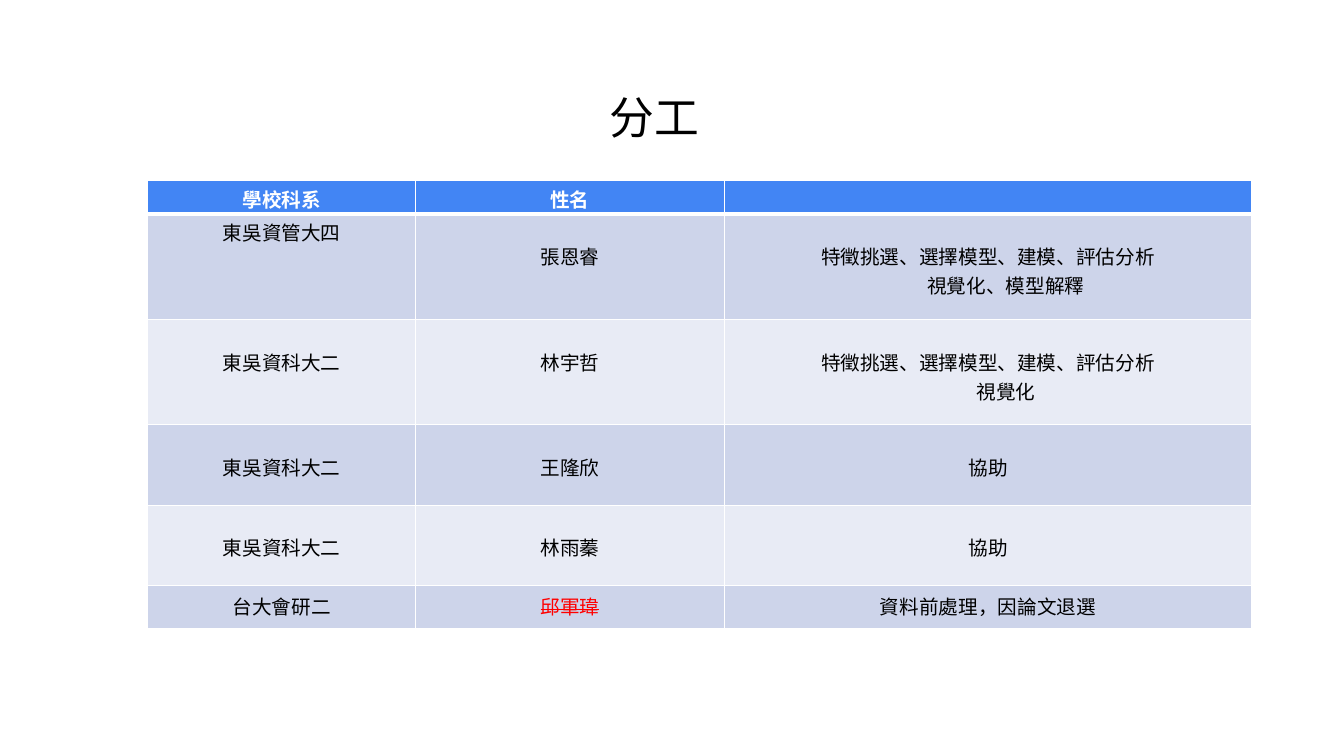
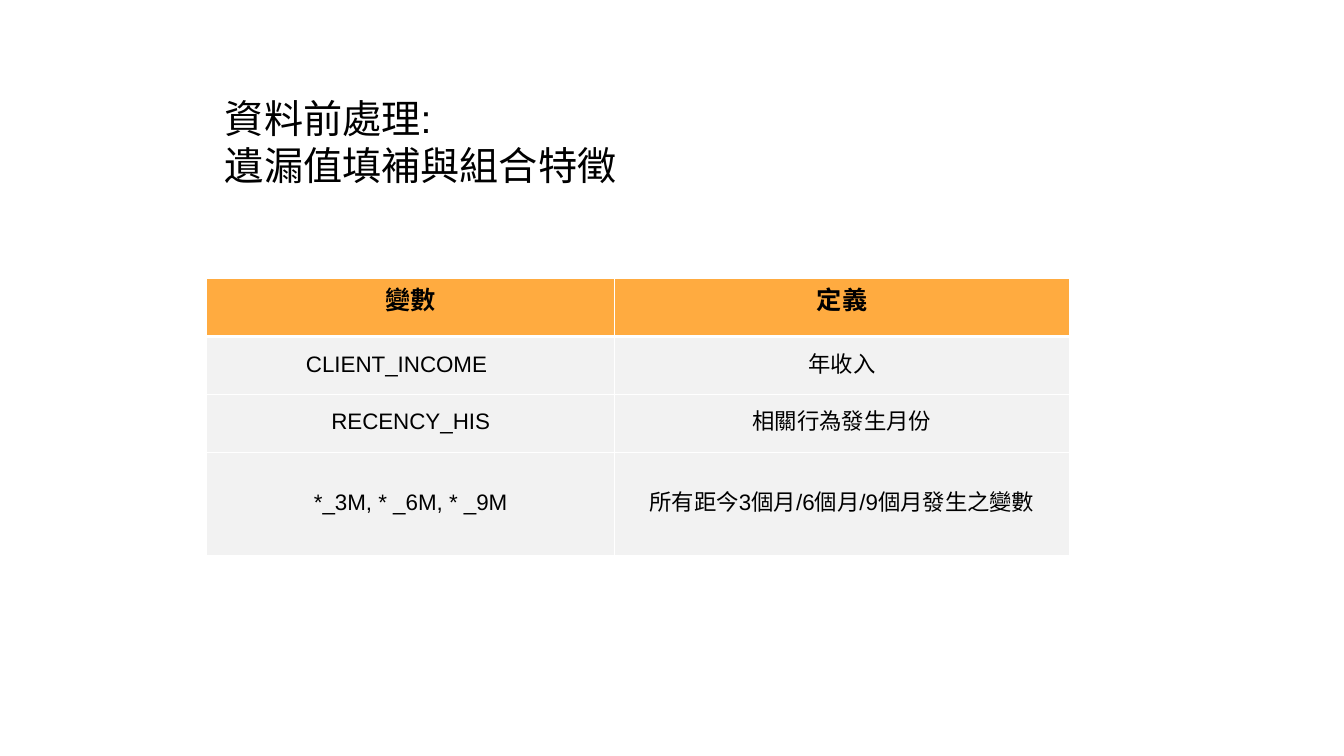
from pptx import Presentation
from pptx.dml.color import RGBColor
from pptx.enum.text import MSO_ANCHOR, MSO_AUTO_SIZE, PP_ALIGN
from pptx.oxml.ns import qn
from pptx.util import Cm, Pt
from lxml import etree

LEFT, MID = PP_ALIGN.LEFT, PP_ALIGN.CENTER
TOP, CENTER = MSO_ANCHOR.TOP, MSO_ANCHOR.MIDDLE
FIXED = MSO_AUTO_SIZE.NONE

BLACK = RGBColor(0x00, 0x00, 0x00)
WHITE = RGBColor(0xFF, 0xFF, 0xFF)
RED = RGBColor(0xFF, 0x00, 0x00)
BLUE = RGBColor(0x42, 0x85, 0xF4)
DARK = RGBColor(0xCD, 0xD4, 0xEA)
LIGHT = RGBColor(0xE8, 0xEB, 0xF5)
AMBER = RGBColor(0xFF, 0xAB, 0x40)
GRAY = RGBColor(0xF2, 0xF2, 0xF2)

TITLE = {"font": "Arial", "size": 28, "bold": False, "color": BLACK,
         "align": LEFT, "ratio": 1.2}
CELL = {"font": "Arial", "size": 14, "bold": False, "color": BLACK,
        "align": MID, "ratio": 1.48}
TIGHT = {"ratio": 1.2, "size": 16, "anchor": CENTER,
         "pad": (0.03, 0.03, 0.03, 0.13)}

STAFF = [
    ("學校科系", "性名", ""),
    ("東吳資管大四", "張恩睿", "特徵挑選、選擇模型、建模、評估分析\n視覺化、模型解釋"),
    ("東吳資科大二", "林宇哲", "特徵挑選、選擇模型、建模、評估分析\n視覺化"),
    ("東吳資科大二", "王隆欣", "協助"),
    ("東吳資科大二", "林雨蓁", "協助"),
    ("台大會研二", "邱軍瑋", "資料前處理，因論文退選"),
]
FIELDS = [
    ("變數", "定義"),
    ("CLIENT_INCOME", "年收入"),
    ("RECENCY_HIS", "相關行為發生月份"),
    ("*_3M, * _6M, * _9M", "所有距今3個月/6個月/9個月發生之變數"),
]


def assign(item, values):
    for name, value in values.items():
        setattr(item, name, value)


def write(frame, text, style):
    lines = text.split("\n")
    for i, line in enumerate(lines):
        para = frame.add_paragraph() if i else frame.paragraphs[0]
        assign(para, {"alignment": style["align"],
                      "line_spacing": Pt(style["size"] * style["ratio"]),
                      "space_before": Pt(0), "space_after": Pt(0)})
        indent = style.get("indent", 0)
        if indent and i == len(lines) - 1:
            para._p.get_or_add_pPr().set("marL", str(Cm(indent)))
        run = para.add_run()
        run.text = line
        assign(run.font, {"name": style["font"], "size": Pt(style["size"]),
                          "bold": style["bold"]})
        run.font.color.rgb = style["color"]
        props = run._r.get_or_add_rPr()
        etree.SubElement(props, qn("a:ea")).set("typeface", style["font"])
        if style.get("strike"):
            props.set("strike", "sngStrike")


def pad(item, sides):
    names = ("margin_left", "margin_top", "margin_right", "margin_bottom")
    assign(item, dict(zip(names, map(Cm, sides))))


def border(cell, widths):
    props = cell._tc.get_or_add_tcPr()
    for side, width in zip("LRTB", widths):
        line = etree.SubElement(props, qn(f"a:ln{side}"), w=str(Pt(width)))
        fill = etree.SubElement(line, qn("a:solidFill"))
        etree.SubElement(fill, qn("a:srgbClr"), val=str(WHITE))


def add_title(deck, text, box, sides, **style):
    slide = deck.slides.add_slide(deck.slide_layouts[5])
    shape = slide.shapes.title
    assign(shape, dict(zip(("left", "top", "width", "height"), map(Cm, box))))
    frame = shape.text_frame
    assign(frame, {"word_wrap": True, "auto_size": FIXED,
                   "vertical_anchor": TOP})
    pad(frame, sides)
    write(frame, text, TITLE | style)
    return slide


def add_grid(slide, spot, cols, rows, data, line, styles, extra):
    shape = slide.shapes.add_table(len(rows), len(cols), *map(Cm, spot),
                                   Cm(sum(cols)), Cm(sum(rows)))
    table = shape.table
    assign(table, {"first_row": False, "horz_banding": False})
    for col, width in zip(table.columns, cols):
        col.width = Cm(width)
    for r, (row, height) in enumerate(zip(table.rows, rows)):
        row.height = Cm(height)
        above = line * 3 if r == 1 else line
        below = line * 3 if r == 0 else line
        for c, text in enumerate(data[r]):
            cell = table.cell(r, c)
            style = CELL | styles[r] | extra.get((r, c), {})
            border(cell, (line, line, above, below))
            cell.fill.solid()
            cell.fill.fore_color.rgb = style["fill"]
            cell.vertical_anchor = style.get("anchor", TOP)
            pad(cell, style["pad"])
            write(cell.text_frame, text, style)


def add_staff(deck):
    slide = add_title(deck, "分工", (15.11, 2, 13.67, 1.88), [0.25] * 4,
                      font="Calibri", size=32)
    thin, deep = (0.25, 0.05, 0.25, 0), (0.25, 0.65, 0.25, 0)
    dark = {"fill": DARK, "pad": deep}
    light = {"fill": LIGHT, "pad": deep}
    head = {"fill": BLUE, "pad": thin, "bold": True, "color": WHITE}
    last = {"fill": DARK, "pad": (0.25, 0.1, 0.25, 0)}
    extra = {(1, 0): {"pad": thin}, (1, 2): {"indent": 0.9},
             (2, 2): {"indent": 0.9}, (5, 1): {"color": RED, "strike": True}}
    add_grid(slide, (3.72, 4.55), (6.76, 7.77, 13.3),
             (0.84, 2.66, 2.65, 2.03, 2.03, 1.07), STAFF, 1,
             (head, dark, light, dark, light, last), extra)


def add_fields(deck):
    slide = add_title(deck, "資料前處理:\n遺漏值填補與組合特徵",
                      (5.42, 2.24, 11.33, 2.64), (0.25, 0.13, 0.25, 0.13))
    head = {"fill": AMBER, "pad": (0.2, 0.15, 0.2, 0.1), "size": 18,
            "bold": True, "ratio": 1.2}
    body = TIGHT | {"fill": GRAY}
    add_grid(slide, (5.21, 7.02), (10.28, 11.46), (1.47, 1.45, 1.45, 2.62),
             FIELDS, 0.8, (head, body, body, body),
             {(1, 0): {"align": LEFT, "indent": 2.47}})


def main():
    deck = Presentation()
    assign(deck, {"slide_width": Cm(33.87), "slide_height": Cm(19.05)})
    add_staff(deck)
    add_fields(deck)
    deck.save("out.pptx")


if __name__ == "__main__":
    main()
